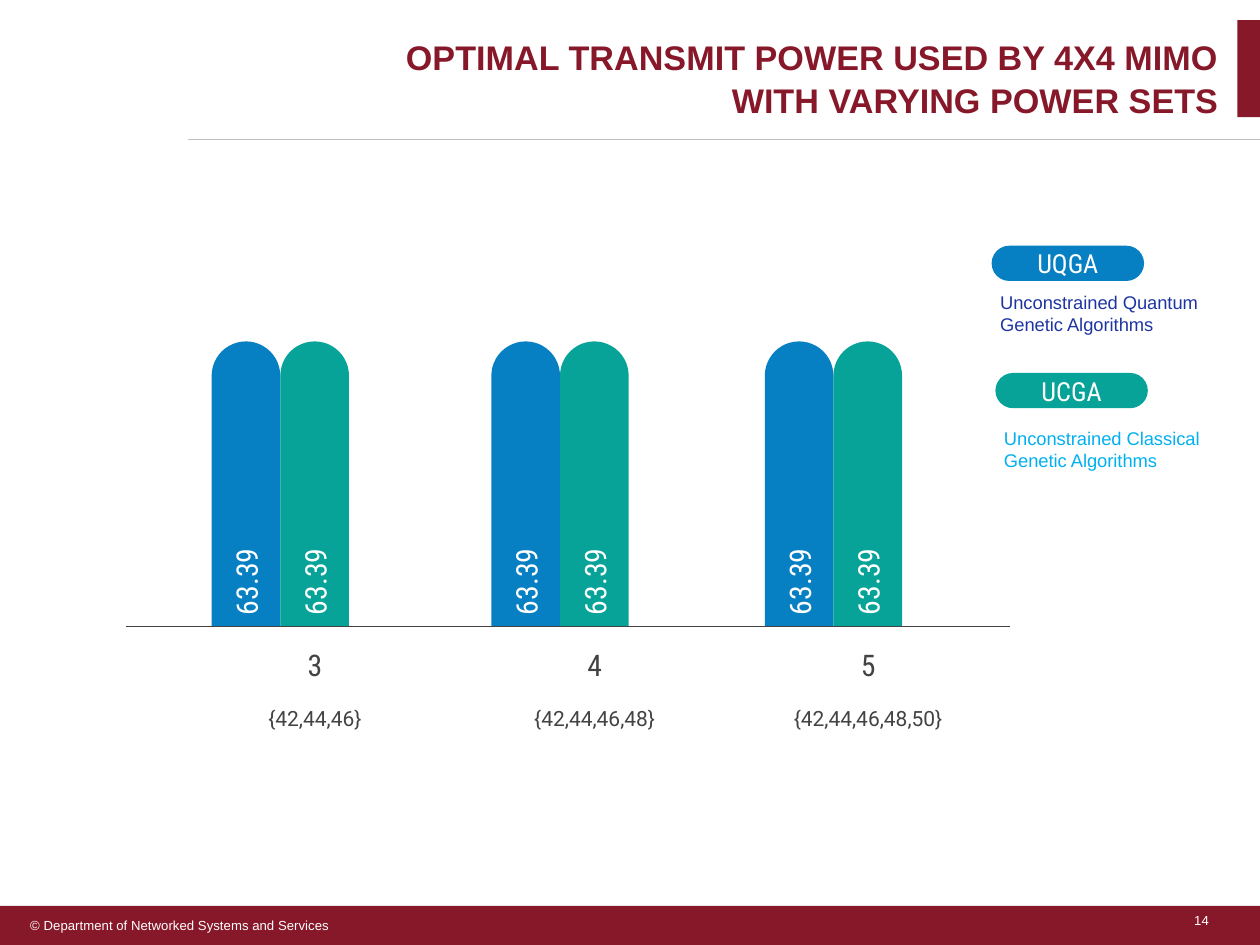
from lxml.etree import SubElement
from pptx import Presentation
from pptx.dml.color import RGBColor
from pptx.enum.shapes import MSO_CONNECTOR, MSO_SHAPE
from pptx.enum.text import MSO_ANCHOR, PP_ALIGN
from pptx.oxml.ns import qn
from pptx.util import Inches, Pt

MAROON, WHITE, GRAY = "871829", "FFFFFF", "434343"
BLUE, TEAL = "0680C3", "07A398"
CONDENSED = "Roboto Condensed"
BAR_WIDTH, BAR_TOP, AXIS_Y = 0.545, 2.71, 4.97
LABEL_WIDTH, LABEL_HEIGHT = 1.15, 0.27

# left edge, number of power levels, power set, value of each algorithm
POWER_SETS = [
    (1.68, "3", "{42,44,46}", ("63.39", "63.39")),
    (3.9, "4", "{42,44,46,48}", ("63.39", "63.39")),
    (6.07, "5", "{42,44,46,48,50}", ("63.39", "63.39")),
]
# left, top, short name, fill, top of full name, full name, its colour
LEGEND = [
    (7.87, 1.95, "UQGA", BLUE, 2.26, "Unconstrained Quantum Genetic Algorithms", "1E35A1"),
    (7.9, 2.96, "UCGA", TEAL, 3.34, "Unconstrained Classical Genetic Algorithms", "00B0F0"),
]


def rgb(hex_color):
    return RGBColor.from_string(hex_color)


def write(shape, text, size, color, font="Arial", align=PP_ALIGN.LEFT,
          anchor=MSO_ANCHOR.MIDDLE, inset=(0.1, 0.1), bold=False, wrap=True):
    """Set a shape's text; inset is (sides, top and bottom) in inches."""
    frame = shape.text_frame
    frame.text = text
    frame.word_wrap = wrap
    frame.vertical_anchor = anchor
    frame.margin_left = frame.margin_right = Inches(inset[0])
    frame.margin_top = frame.margin_bottom = Inches(inset[1])
    paragraph = frame.paragraphs[0]
    paragraph.alignment = align
    run_font = paragraph.runs[0].font
    run_font.name, run_font.size, run_font.bold = font, Pt(size), bold
    run_font.color.rgb = rgb(color)


def add_block(slide, kind, left, top, width, height, fill):
    block = slide.shapes.add_shape(
        kind, Inches(left), Inches(top), Inches(width), Inches(height))
    block.shadow.inherit = False
    block.fill.solid()
    block.fill.fore_color.rgb = rgb(fill)
    block.line.fill.background()
    return block


def add_text(slide, left, top, width, height, text, size, color, **style):
    box = slide.shapes.add_textbox(
        Inches(left), Inches(top), Inches(width), Inches(height))
    write(box, text, size, color, **style)
    return box


def add_rule(slide, left, right, y, color):
    rule = slide.shapes.add_connector(
        MSO_CONNECTOR.STRAIGHT, Inches(left), Inches(y), Inches(right), Inches(y))
    rule.line.color.rgb = rgb(color)
    rule.line.width = Pt(0.75)
    SubElement(rule._element.spPr, qn("a:effectLst"))


def add_bar(slide, left, value, fill):
    bar = add_block(slide, MSO_SHAPE.ROUND_2_SAME_RECTANGLE, left, BAR_TOP,
                    BAR_WIDTH, AXIS_Y - BAR_TOP, fill)
    bar.adjustments[0] = 0.5
    label = add_text(slide, left + (BAR_WIDTH - LABEL_WIDTH) / 2, 4.27,
                     LABEL_WIDTH, LABEL_HEIGHT, value, 17, WHITE, font=CONDENSED)
    label.rotation = 270


def add_power_set(slide, left, count, levels, values):
    for index, (value, fill) in enumerate(zip(values, (BLUE, TEAL))):
        add_bar(slide, left + index * BAR_WIDTH, value, fill)
    add_text(slide, left, 5.12, 1.64, 0.31, count, 17, GRAY,
             font=CONDENSED, align=PP_ALIGN.CENTER)
    add_text(slide, left - 0.07, 5.49, 1.78, 0.42, levels, 12, GRAY,
             font="Roboto", align=PP_ALIGN.CENTER)


def add_legend_entry(slide, left, top, name, fill, full_top, full_name, color):
    pill = add_block(slide, MSO_SHAPE.ROUNDED_RECTANGLE, left, top, 1.21, 0.28, fill)
    pill.adjustments[0] = 0.5
    write(pill, name, 15, WHITE, font=CONDENSED, align=PP_ALIGN.CENTER)
    add_text(slide, left - 0.03, full_top, 2, 0.45, full_name, 10.5, color,
             anchor=MSO_ANCHOR.TOP, inset=(0.1, 0.05))


def add_frame(slide):
    """Title, header rule and footer."""
    add_block(slide, MSO_SHAPE.RECTANGLE, 9.82, 0.16, 0.18, 0.77, MAROON)
    footer = add_block(slide, MSO_SHAPE.RECTANGLE, 0, 7.19, 10, 0.31, MAROON)
    write(footer, "© Department of Networked Systems and Services", 7.5, WHITE,
          inset=(0.24, 0.05))
    add_rule(slide, 1.49, 10, 1.11, "BFBFBF")
    add_text(slide, 9.38, 7.19, 0.33, 0.23, "14", 7.5, WHITE,
             anchor=MSO_ANCHOR.TOP, inset=(0.1, 0.05), wrap=False)
    title = add_text(slide, 2.93, 0.22, 6.84, 0.73,
                     "OPTIMAL TRANSMIT POWER USED BY 4X4 MIMO WITH VARYING POWER SETS",
                     19.5, MAROON, align=PP_ALIGN.RIGHT, anchor=MSO_ANCHOR.TOP,
                     inset=(0.1, 0.05), bold=True)
    title.text_frame.paragraphs[0].line_spacing = 1.05


def main():
    presentation = Presentation()
    presentation.slide_width, presentation.slide_height = Inches(10), Inches(7.5)
    slide = presentation.slides.add_slide(presentation.slide_layouts[6])
    add_frame(slide)
    for entry in LEGEND:
        add_legend_entry(slide, *entry)
    for power_set in POWER_SETS:
        add_power_set(slide, *power_set)
    add_rule(slide, 1, 8.02, AXIS_Y, GRAY)
    presentation.save("out.pptx")


if __name__ == "__main__":
    main()
